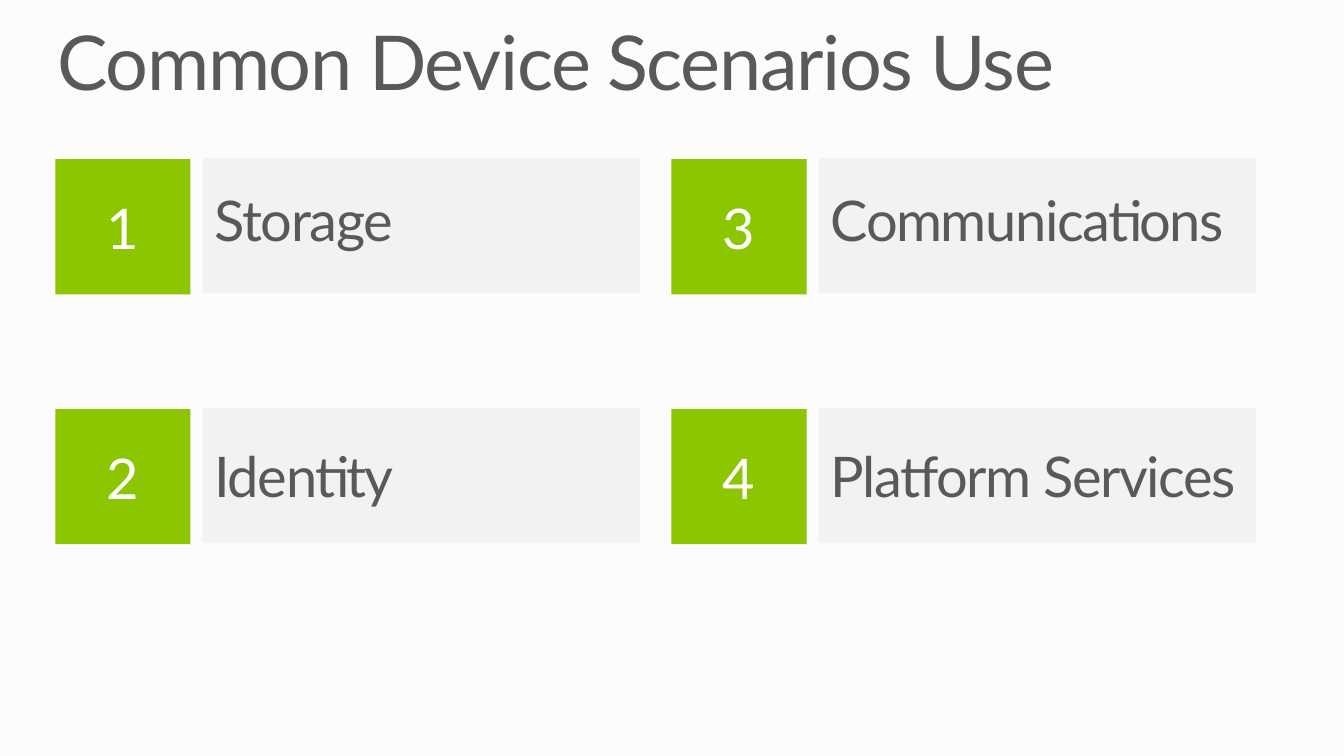
from pptx import Presentation
from pptx.dml.color import RGBColor
from pptx.enum.shapes import MSO_SHAPE
from pptx.enum.text import MSO_ANCHOR, PP_ALIGN
from pptx.util import Inches, Pt

TITLE = "Common Device Scenarios Use"
# Filled column by column
SCENARIOS = ["Storage", "Identity", "Communications", "Platform Services"]

FONT = "Lato"
BACKGROUND, GREEN, PANEL, GRAY, WHITE = "FCFCFC", "8CC600", "F2F2F2", "595959", "FFFFFF"

ROWS = 2
LEFT, TOP = 0.55, 1.57
COLUMN_STEP, ROW_STEP = 6.11, 2.48
TILE = 1.34
PANEL_OFFSET, PANEL_WIDTH = 1.46, 4.34
LABEL_OFFSET, LABEL_WIDTH, LABEL_HEIGHT = 1.48, 4.63, 0.71
LABEL_TOPS = [1.87, 4.41]


def color(value):
    return RGBColor.from_string(value)


def write_text(shape, text, size, text_color, align=PP_ALIGN.LEFT, anchor=MSO_ANCHOR.TOP,
               line_spacing=1.0, space_after=0, tracking=0, margins=(0.1, 0.05)):
    """Fill a shape with one paragraph; tracking is in points, margins in inches."""
    frame = shape.text_frame
    frame.word_wrap = True
    frame.vertical_anchor = anchor
    frame.margin_left = frame.margin_right = Inches(margins[0])
    frame.margin_top = frame.margin_bottom = Inches(margins[1])
    paragraph = frame.paragraphs[0]
    paragraph.alignment = align
    paragraph.line_spacing = line_spacing
    paragraph.space_before = Pt(0)
    paragraph.space_after = Pt(space_after)
    run = paragraph.add_run()
    run.text = text
    run.font.name = FONT
    run.font.size = Pt(size)
    run.font.color.rgb = color(text_color)
    if tracking:
        run._r.get_or_add_rPr().set("spc", str(tracking * 100))


def add_rectangle(shapes, left, top, width, height, fill):
    shape = shapes.add_shape(MSO_SHAPE.RECTANGLE, Inches(left), Inches(top),
                             Inches(width), Inches(height))
    shape.shadow.inherit = False
    shape.fill.solid()
    shape.fill.fore_color.rgb = color(fill)
    shape.line.fill.background()
    return shape


def add_scenario(slide, index, name):
    column, row = divmod(index, ROWS)
    left = LEFT + column * COLUMN_STEP
    top = TOP + row * ROW_STEP
    shapes = slide.shapes.add_group_shape().shapes
    add_rectangle(shapes, left + PANEL_OFFSET, top, PANEL_WIDTH, TILE, PANEL)
    number = add_rectangle(shapes, left, top + 0.01, TILE, TILE, GREEN)
    write_text(number, str(index + 1), 40, WHITE,
               align=PP_ALIGN.CENTER, anchor=MSO_ANCHOR.MIDDLE)
    label = shapes.add_textbox(Inches(left + LABEL_OFFSET), Inches(LABEL_TOPS[row]),
                               Inches(LABEL_WIDTH), Inches(LABEL_HEIGHT))
    write_text(label, name, 40, GRAY, line_spacing=0.9, space_after=9, tracking=-1)


def main():
    presentation = Presentation()
    presentation.slide_width = Inches(13.33)
    presentation.slide_height = Inches(7.5)
    slide = presentation.slides.add_slide(presentation.slide_layouts.get_by_name("Title Only"))
    slide.background.fill.solid()
    slide.background.fill.fore_color.rgb = color(BACKGROUND)

    title = slide.shapes.title
    title.left, title.top = Inches(0.57), Inches(0.25)
    title.width, title.height = Inches(12.19), Inches(0.82)
    write_text(title, TITLE, 54, GRAY, line_spacing=0.9, tracking=-1, margins=(0, 0))

    for index, name in enumerate(SCENARIOS):
        add_scenario(slide, index, name)
    presentation.save("out.pptx")


if __name__ == "__main__":
    main()
